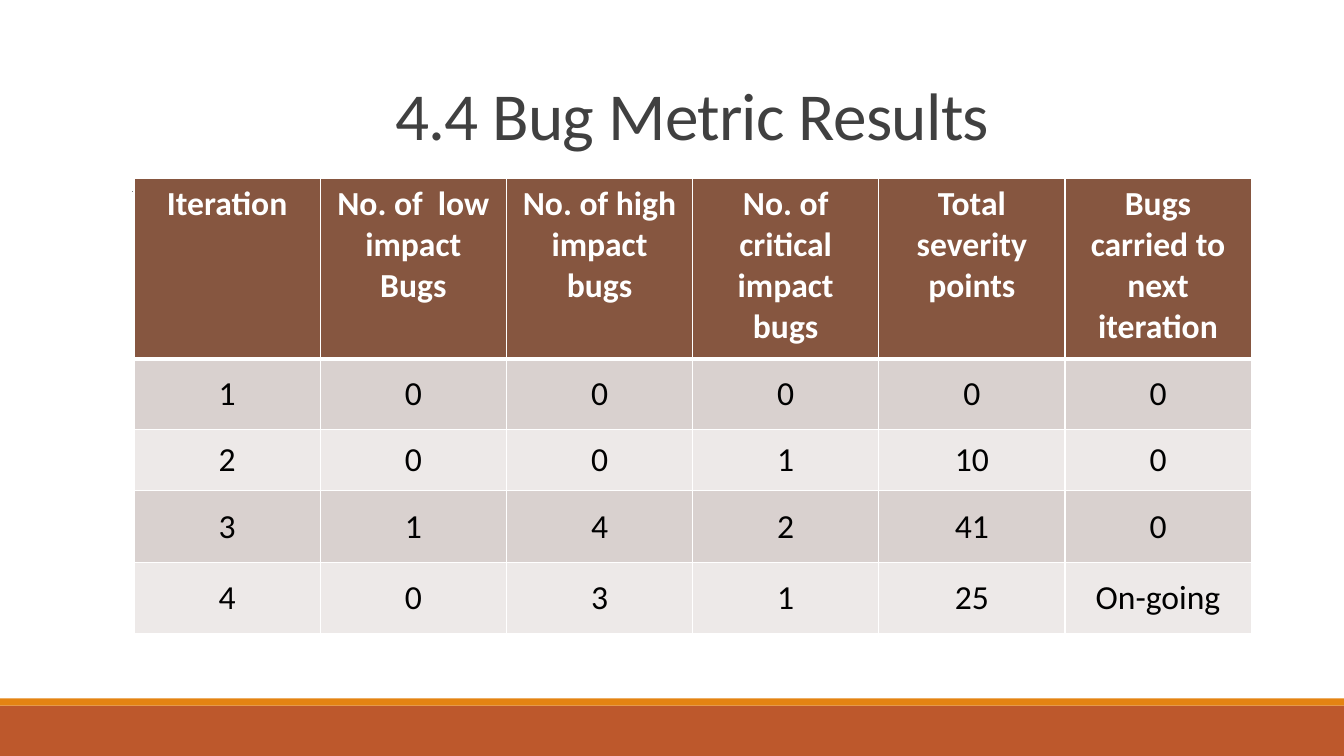
from dataclasses import dataclass

from lxml.etree import SubElement
from pptx import Presentation
from pptx.dml.color import RGBColor
from pptx.enum.shapes import MSO_CONNECTOR, MSO_SHAPE
from pptx.enum.text import MSO_ANCHOR, PP_ALIGN
from pptx.oxml import parse_xml
from pptx.oxml.ns import nsdecls, qn
from pptx.util import Inches, Pt


@dataclass(frozen=True)
class Theme:
    font: str = "Calibri"
    title: int = 48
    body: int = 24
    ink: str = "404040"
    text: str = "000000"
    white: str = "FFFFFF"
    rule: str = "808080"
    head: str = "865640"
    bands: tuple = ("D9D1CF", "EDE9E8")
    base: str = "BD582C"
    strip: str = "E48312"


THEME = Theme()
WIDE, HIGH = 13.33, 7.5
HEADS = ["Iteration", "No. of  low impact Bugs", "No. of high impact bugs",
         "No. of critical impact bugs", "Total severity points",
         "Bugs carried to next iteration"]
ROWS = [[1, 0, 0, 0, 0, 0],
        [2, 0, 0, 1, 10, 0],
        [3, 1, 4, 2, 41, 0],
        [4, 0, 3, 1, 25, "On-going"]]
HEIGHTS = [1.79, 0.7, 0.61, 0.71, 0.71]


def color(code):
    return RGBColor.from_string(code)


def style(para, size, code, bold=False):
    para.alignment = PP_ALIGN.CENTER
    para.font.name = THEME.font
    para.font.size = Pt(size)
    para.font.bold = bold
    para.font.color.rgb = color(code)


def add_bar(slide, box, code):
    bar = slide.shapes.add_shape(MSO_SHAPE.RECTANGLE, *map(Inches, box))
    bar.shadow.inherit = False
    bar.fill.solid()
    bar.fill.fore_color.rgb = color(code)
    bar.line.fill.background()


def add_footer(slide, box):
    left, top, width, height = box
    thin = 0.07
    add_bar(slide, (left, top + thin, width, height - thin), THEME.base)
    add_bar(slide, (left, top, width, thin), THEME.strip)


def add_rule(slide, left, top, width):
    ends = map(Inches, (left, top, left + width, top))
    line = slide.shapes.add_connector(MSO_CONNECTOR.STRAIGHT, *ends)
    line.line.color.rgb = color(THEME.rule)
    line.line.width = Pt(0.5)
    SubElement(line._element.spPr, qn("a:effectLst"))


def add_title(slide, box, text):
    frame = slide.shapes.add_textbox(*map(Inches, box)).text_frame
    frame.word_wrap = True
    frame.vertical_anchor = MSO_ANCHOR.BOTTOM
    para = frame.paragraphs[0]
    run = para.add_run()
    run.text = text
    run._r.get_or_add_rPr().set("spc", "-50")
    style(para, THEME.title, THEME.ink)
    para.line_spacing = 0.85


def add_edges(cell, top, bottom):
    props = cell._tc.get_or_add_tcPr()
    for side, width in (("L", 1), ("R", 1), ("T", top), ("B", bottom)):
        props.append(parse_xml(
            f'<a:ln{side} {nsdecls("a")} w="{Pt(width)}"><a:solidFill>'
            f'<a:srgbClr val="{THEME.white}"/></a:solidFill></a:ln{side}>'))


def fill_cell(cell, text, row):
    is_head = row == 0
    cell.text = str(text)
    cell.vertical_anchor = MSO_ANCHOR.TOP if is_head else MSO_ANCHOR.MIDDLE
    style(cell.text_frame.paragraphs[0], THEME.body,
          THEME.white if is_head else THEME.text, is_head)
    # A thick edge parts the header from the body
    add_edges(cell, 3 if row == 1 else 1, 3 if is_head else 1)
    cell.fill.solid()
    cell.fill.fore_color.rgb = color(
        THEME.head if is_head else THEME.bands[(row - 1) % 2])


def add_grid(slide, box):
    data = [HEADS] + ROWS
    table = slide.shapes.add_table(
        len(data), len(HEADS), *map(Inches, box)).table
    for col in table.columns:
        col.width = Inches(box[2] / len(HEADS))
    for row, (values, height) in enumerate(zip(data, HEIGHTS)):
        table.rows[row].height = Inches(height)
        for col, text in enumerate(values):
            fill_cell(table.cell(row, col), text, row)


def main():
    deck = Presentation()
    deck.slide_width, deck.slide_height = Inches(WIDE), Inches(HIGH)
    slide = deck.slides.add_slide(deck.slide_layouts[6])
    # Backdrop
    add_footer(slide, (0, 6.93, WIDE, HIGH - 6.93))
    add_rule(slide, 1.31, 1.9, 10.9)
    # Content
    add_title(slide, (1.45, 0.33, 10.83, 1.25), "4.4 Bug Metric Results")
    add_grid(slide, (1.33, 1.77, 11.08, sum(HEIGHTS)))
    deck.save("out.pptx")


if __name__ == "__main__":
    main()
